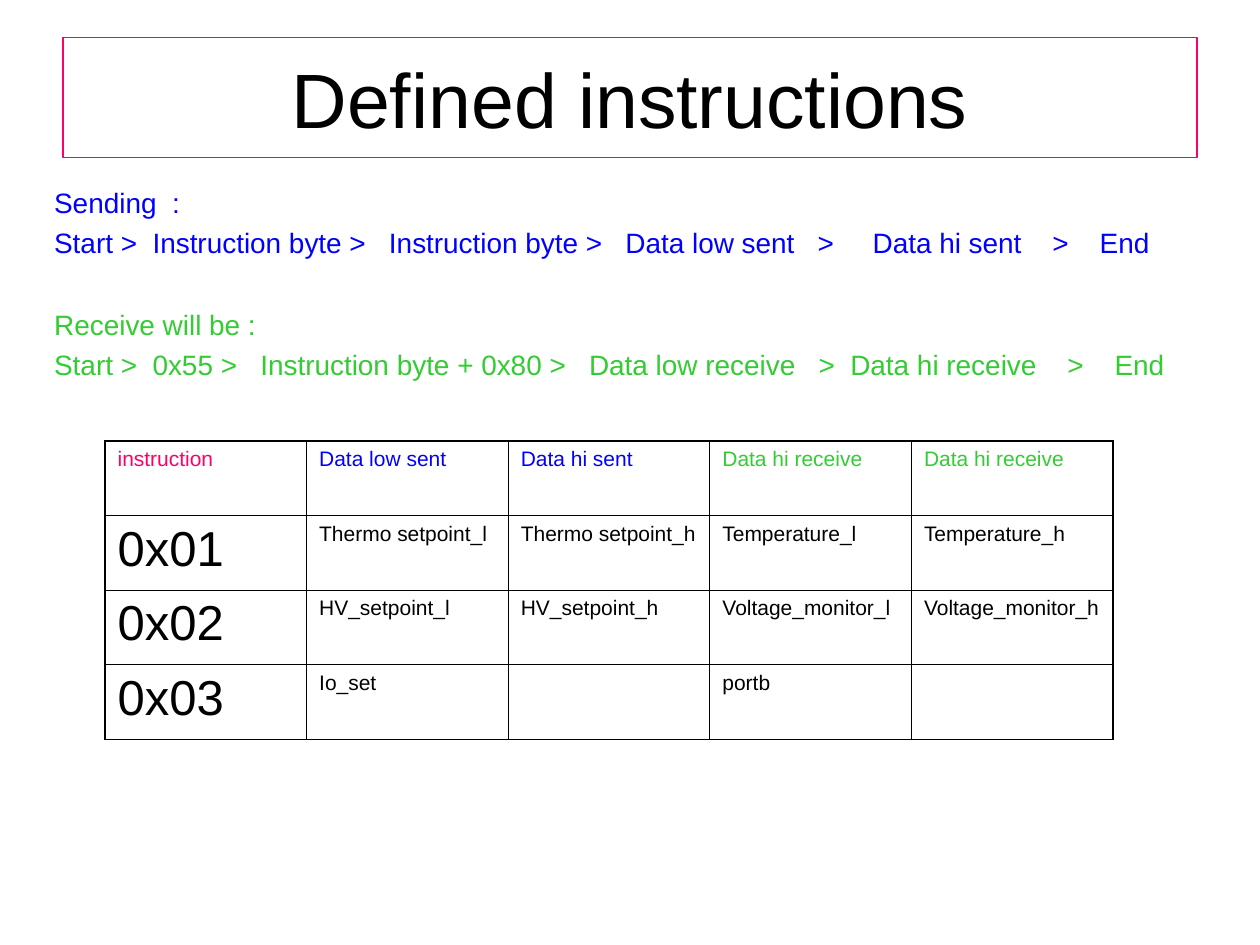
"""Build the slide that lists the defined instructions of a byte protocol."""
from dataclasses import dataclass

from lxml import etree
from pptx import Presentation
from pptx.dml.color import RGBColor
from pptx.enum import text
from pptx.oxml.ns import qn
from pptx.util import Inches, Pt


@dataclass(frozen=True)
class Theme:
    font: str = "Arial"
    black: str = "000000"
    pink: str = "FF0066"
    blue: str = "0000FF"
    green: str = "33CC33"
    title: float = 44
    code: float = 28
    body: float = 16
    cell: float = 12
    frame: float = 0.75
    outer: float = 1.12
    inner: float = 0.45


@dataclass(frozen=True)
class Line:
    text: str
    color: str
    before: float = 4


@dataclass(frozen=True)
class Column:
    header: str
    color: str
    values: tuple[str, ...]
    size: float
    before: float = 3


T = Theme()

LINES = [
    Line("Sending  :", T.blue),
    Line("Start >  Instruction byte >   Instruction byte >   Data low sent   >"
         "     Data hi sent    >    End", T.blue),
    Line("Receive will be :", T.green, before=27.3),
    Line("Start >  0x55 >   Instruction byte + 0x80 >   Data low receive   >"
         "  Data hi receive    >    End", T.green),
]

COLUMNS = [
    Column("instruction", T.pink, ("0x01", "0x02", "0x03"), T.code, 7),
    Column("Data low sent", T.blue, ("Thermo setpoint_l", "HV_setpoint_l", "Io_set"), T.cell),
    Column("Data hi sent", T.blue, ("Thermo setpoint_h", "HV_setpoint_h", ""), T.cell),
    Column("Data hi receive", T.green, ("Temperature_l", "Voltage_monitor_l", "portb"), T.cell),
    Column("Data hi receive", T.green, ("Temperature_h", "Voltage_monitor_h", ""), T.cell),
]


def write(p, content: str, *, size: float, color: str = T.black, before: float = 0,
          align=text.PP_ALIGN.LEFT) -> None:
    """Fill a paragraph with one formatted run."""
    p.alignment = align
    p.space_before = Pt(before)
    r = p.add_run()
    r.text = content
    r.font.name = T.font
    r.font.size = Pt(size)
    r.font.color.rgb = RGBColor.from_string(color)


def place(sp, left: float, top: float, width: float, height: float):
    """Position a placeholder and return its text frame."""
    sp.left, sp.top = Inches(left), Inches(top)
    sp.width, sp.height = Inches(width), Inches(height)
    tf = sp.text_frame
    tf.word_wrap = True
    tf.auto_size = text.MSO_AUTO_SIZE.NONE
    return tf


def remove_bullet(p) -> None:
    """Hide the bullet and give the paragraph a hanging indent."""
    ppr = p._p.get_or_add_pPr()
    ppr.set("marL", str(Inches(0.38)))
    ppr.set("indent", str(Inches(-0.38)))
    etree.SubElement(ppr, qn("a:buNone"))


def set_borders(cell, widths: dict[str, float]) -> None:
    """Draw the four sides of a cell in black."""
    tcpr = cell._tc.get_or_add_tcPr()
    for side, width in widths.items():
        ln = etree.SubElement(tcpr, qn(f"a:ln{side}"), w=str(Pt(width)))
        fill = etree.SubElement(ln, qn("a:solidFill"))
        etree.SubElement(fill, qn("a:srgbClr"), val=T.black)


def add_title(slide) -> None:
    """Write the framed title."""
    sp = slide.shapes.title
    tf = place(sp, 0.5, 0.3, 9, 0.95)
    tf.vertical_anchor = text.MSO_ANCHOR.MIDDLE
    sp.line.color.rgb = RGBColor.from_string(T.pink)
    sp.line.width = Pt(T.frame)
    write(tf.paragraphs[0], "Defined instructions", size=T.title, align=text.PP_ALIGN.CENTER)


def add_body(slide, lines: list[Line]) -> None:
    """Write the two byte sequences in the body placeholder."""
    tf = place(slide.placeholders[1], 0.33, 1.42, 9.08, 5.28)
    tf.vertical_anchor = text.MSO_ANCHOR.TOP
    for i, line in enumerate(lines):
        p = tf.add_paragraph() if i else tf.paragraphs[0]
        write(p, line.text, size=T.body, color=line.color, before=line.before)
        remove_bullet(p)


def add_instruction_table(slide, columns: list[Column]) -> None:
    """Add the instruction table with a heavier outer border."""
    n_rows, n_cols = len(columns[0].values) + 1, len(columns)
    table = slide.shapes.add_table(n_rows, n_cols, Inches(5 / 6), Inches(3.5),
                                   Inches(8), Inches(2.37)).table
    table.first_row = table.horz_banding = False
    for j, column in enumerate(columns):
        for i, value in enumerate((column.header, *column.values)):
            cell = table.cell(i, j)
            edges = {"L": j == 0, "R": j == n_cols - 1, "T": i == 0, "B": i == n_rows - 1}
            set_borders(cell, {s: T.outer if edge else T.inner for s, edge in edges.items()})
            cell.fill.background()
            if value:
                write(cell.text_frame.paragraphs[0], value,
                      size=column.size if i else T.cell,
                      color=T.black if i else column.color,
                      before=column.before if i else 3)


def main() -> None:
    """Build and save the presentation."""
    prs = Presentation()
    prs.slide_width, prs.slide_height = Inches(10), Inches(7.5)
    slide = prs.slides.add_slide(prs.slide_layouts[1])
    add_title(slide)
    add_body(slide, LINES)
    add_instruction_table(slide, COLUMNS)
    prs.save("out.pptx")


if __name__ == "__main__":
    main()
